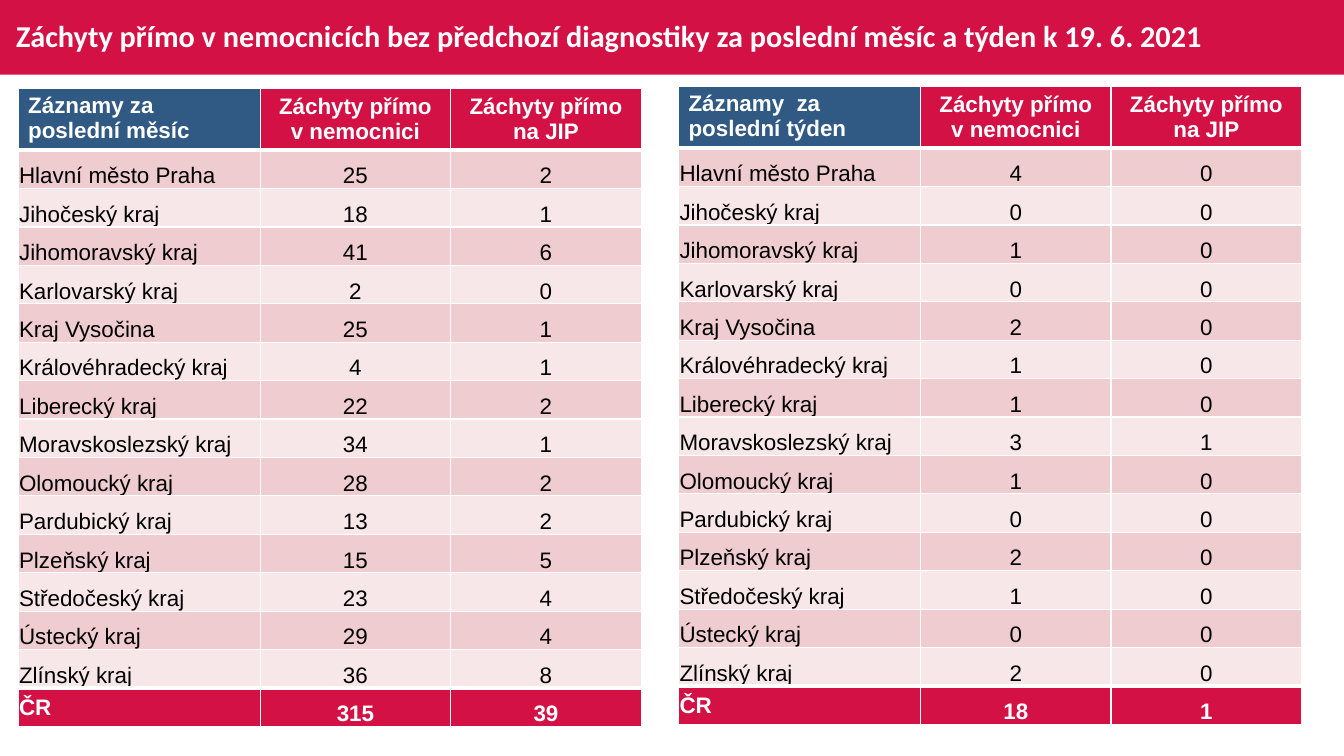
from lxml.etree import SubElement
from pptx import Presentation
from pptx.dml.color import RGBColor
from pptx.enum.shapes import MSO_SHAPE
from pptx.enum.text import MSO_ANCHOR, MSO_AUTO_SIZE, PP_ALIGN
from pptx.oxml.ns import qn
from pptx.util import Inches, Pt

CRIMSON, NAVY, WHITE, BLACK = "D31145", "305983", "FFFFFF", "000000"
BANDS = ("EFCCCF", "F7E7E9")
SLIDE_WIDTH, SLIDE_HEIGHT, TITLE_HEIGHT = 13.33, 7.5, 0.74
COLUMN_WIDTHS = (2.4, 1.89, 1.89)
TABLE_HEIGHT, HEADER_HEIGHT = 6.33, 0.61

TITLE = "Záchyty přímo v nemocnicích bez předchozí diagnostiky za poslední měsíc a týden k 19. 6. 2021"
COUNT_HEADINGS = ("Záchyty přímo v nemocnici", "Záchyty přímo na JIP")
REGIONS = (
    "Hlavní město Praha", "Jihočeský kraj", "Jihomoravský kraj", "Karlovarský kraj",
    "Kraj Vysočina", "Královéhradecký kraj", "Liberecký kraj", "Moravskoslezský kraj",
    "Olomoucký kraj", "Pardubický kraj", "Plzeňský kraj", "Středočeský kraj",
    "Ústecký kraj", "Zlínský kraj", "ČR",
)
MONTH_HOSPITAL = (25, 18, 41, 2, 25, 4, 22, 34, 28, 13, 15, 23, 29, 36, 315)
MONTH_ICU = (2, 1, 6, 0, 1, 1, 2, 1, 2, 2, 5, 4, 4, 8, 39)
WEEK_HOSPITAL = (4, 0, 1, 0, 2, 1, 1, 3, 1, 0, 2, 1, 0, 2, 18)
WEEK_ICU = (0, 0, 0, 0, 0, 0, 0, 1, 0, 0, 0, 0, 0, 0, 1)


def color(hex_value):
    return RGBColor.from_string(hex_value)


def format_font(font, name, size, hex_value, bold):
    font.name, font.size, font.bold = name, Pt(size), bold
    font.color.rgb = color(hex_value)


def add_title(slide):
    title = slide.shapes.title
    title.left, title.top = Inches(0.06), 0
    title.width, title.height = Inches(13.05), Inches(TITLE_HEIGHT)
    frame = title.text_frame
    frame.text = TITLE
    frame.word_wrap = True
    frame.auto_size = MSO_AUTO_SIZE.NONE
    frame.vertical_anchor = MSO_ANCHOR.MIDDLE
    para = frame.paragraphs[0]
    para.alignment, para.line_spacing = PP_ALIGN.LEFT, 0.9
    format_font(para.runs[0].font, "Calibri", 21.6, WHITE, True)

    band = slide.shapes.add_shape(
        MSO_SHAPE.RECTANGLE, 0, 0, Inches(SLIDE_WIDTH), Inches(TITLE_HEIGHT))
    band.shadow.inherit = False
    band.fill.solid()
    band.fill.fore_color.rgb = color(CRIMSON)
    band.line.fill.background()
    title.element.addprevious(band.element)


def set_borders(cell, top, bottom):
    """Draw white borders; top and bottom are widths in points."""
    properties = cell._tc.get_or_add_tcPr()
    for side, width in (("L", 1), ("R", 1), ("T", top), ("B", bottom)):
        line = SubElement(properties, qn(f"a:ln{side}"), w=str(Pt(width)))
        fill = SubElement(line, qn("a:solidFill"))
        SubElement(fill, qn("a:srgbClr"), val=WHITE)


def format_cell(cell, row, column, last_row):
    header, total = row == 0, row == last_row
    set_borders(cell, 3 if row in (1, last_row) else 1,
                3 if row in (0, last_row - 1) else 1)
    if header:
        fill = CRIMSON if column else NAVY
        anchor = MSO_ANCHOR.MIDDLE if column else MSO_ANCHOR.TOP
    else:
        fill = CRIMSON if total else BANDS[(row - 1) % 2]
        anchor = MSO_ANCHOR.MIDDLE if total and not column else MSO_ANCHOR.BOTTOM
        cell.margin_left = cell.margin_right = cell.margin_top = Inches(0.01)
        cell.margin_bottom = 0
    cell.fill.solid()
    cell.fill.fore_color.rgb = color(fill)
    cell.vertical_anchor = anchor
    para = cell.text_frame.paragraphs[0]
    para.alignment = PP_ALIGN.CENTER if column else PP_ALIGN.LEFT
    strong = header or total
    format_font(para.runs[0].font, "Arial", 16, WHITE if strong else BLACK, strong)


def add_region_table(slide, left, top, heading, hospital, icu):
    records = [(heading, *COUNT_HEADINGS), *zip(REGIONS, hospital, icu)]
    last_row = len(records) - 1
    table = slide.shapes.add_table(
        len(records), len(COLUMN_WIDTHS), Inches(left), Inches(top),
        Inches(sum(COLUMN_WIDTHS)), Inches(TABLE_HEIGHT)).table
    table.first_row = table.horz_banding = False
    for column, width in zip(table.columns, COLUMN_WIDTHS):
        column.width = Inches(width)
    for row, record in enumerate(records):
        height = (TABLE_HEIGHT - HEADER_HEIGHT) / last_row if row else HEADER_HEIGHT
        table.rows[row].height = Inches(height)
        for column, value in enumerate(record):
            cell = table.cell(row, column)
            cell.text_frame.text = str(value)
            format_cell(cell, row, column, last_row)


def main():
    deck = Presentation()
    deck.slide_width, deck.slide_height = Inches(SLIDE_WIDTH), Inches(SLIDE_HEIGHT)
    slide = deck.slides.add_slide(deck.slide_layouts.get_by_name("Title Only"))
    add_title(slide)
    add_region_table(slide, 0.18, 0.88, "Záznamy za poslední měsíc", MONTH_HOSPITAL, MONTH_ICU)
    add_region_table(slide, 6.73, 0.86, "Záznamy  za poslední týden", WEEK_HOSPITAL, WEEK_ICU)
    deck.save("out.pptx")


if __name__ == "__main__":
    main()
